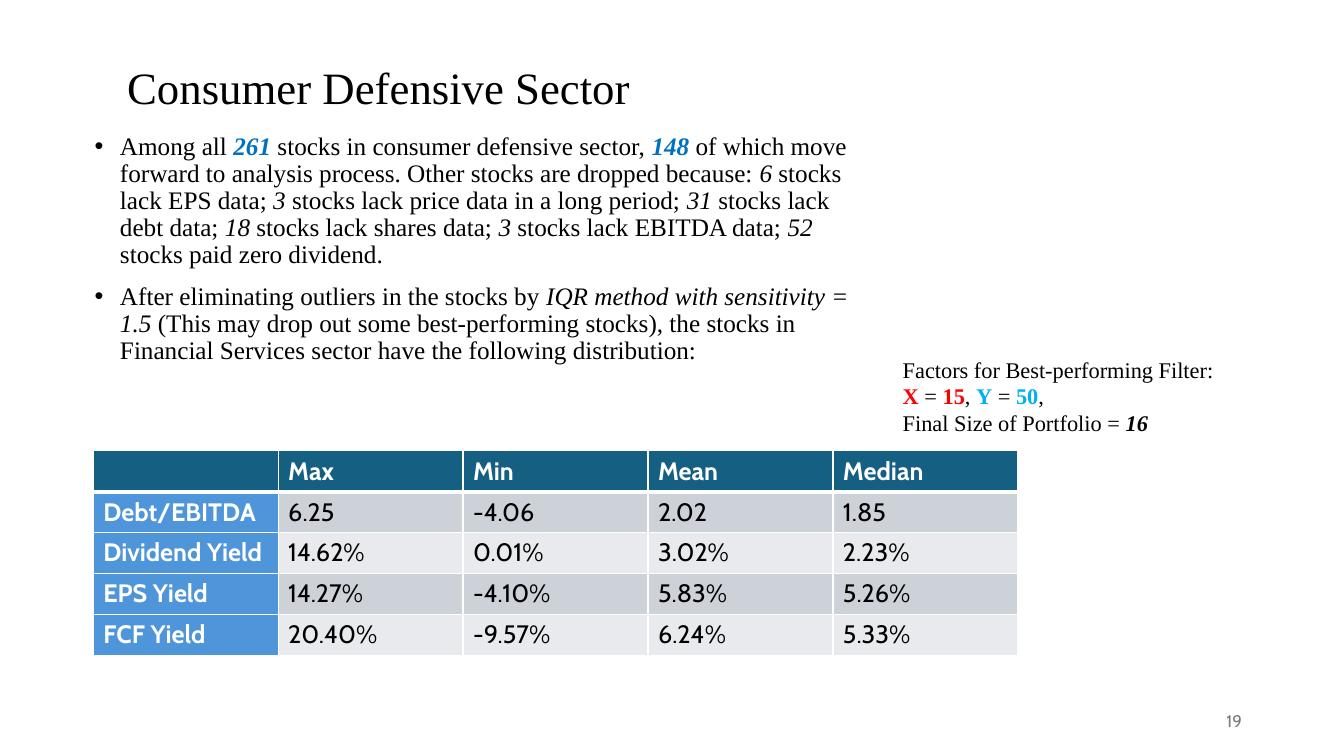
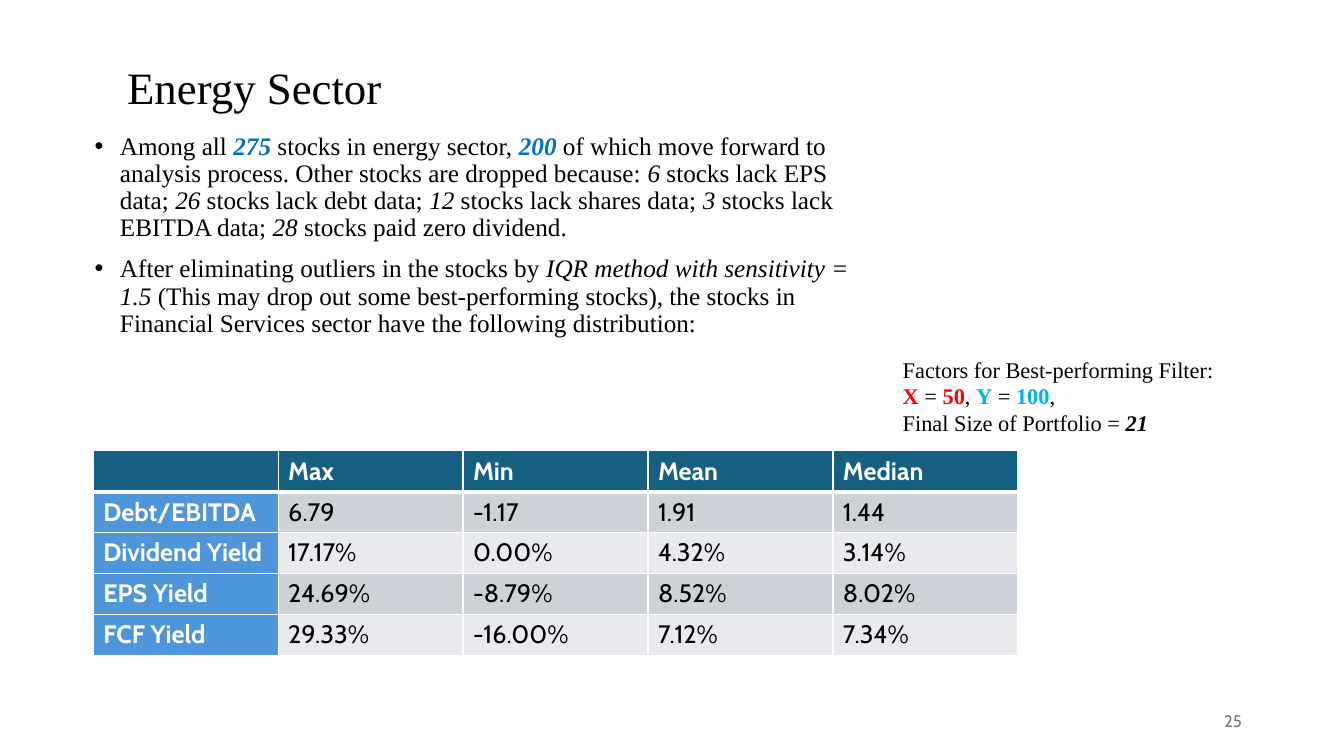
import pptx
import pptx.dml.color
import pptx.enum.text
import pptx.oxml
import pptx.oxml.ns
import pptx.util

Cm = pptx.util.Cm
Pt = pptx.util.Pt

COLORS = {
    "text": "000000",
    "white": "FFFFFF",
    "count": "0070C0",
    "x": "FF0000",
    "y": "00B0F0",
    "header": "156082",
    "label": "4E95D9",
    "band_dark": "CCD2D8",
    "band_light": "E8EAED",
    "page": "797979",
}
SERIF = "Times New Roman"
SANS = "Cabin"

# Run styles: colour, bold, italic
STYLES = {
    "plain": ("text", False, False),
    "italic": ("text", False, True),
    "strong": ("text", True, True),
    "count": ("count", True, True),
    "x": ("x", True, False),
    "y": ("y", True, False),
}

# Boxes in centimetres: left, top, width, height
BODY_BOX = (2.13, 3.23, 19.63, 7.49)
TABLE_BOX = (2.35, 11.36, 23.3, 5.13)
FACTORS_BOX = (22.5, 8.84, 9.04, 2.31)
PAGE_BOX = (23.93, 17.65, 7.62, 1.02)

COLUMNS = ["", "Max", "Min", "Mean", "Median"]
ROW_LABELS = ["Debt/EBITDA", "Dividend Yield", "EPS Yield", "FCF Yield"]

SECTORS = [
    {
        "title": "Consumer Defensive Sector",
        "title_width": 15.88,
        "name": "consumer defensive",
        "page": "19",
        "stocks": "261",
        "kept": "148",
        "dropped": [
            ("6", "lack EPS data"),
            ("3", "lack price data in a long period"),
            ("31", "lack debt data"),
            ("18", "lack shares data"),
            ("3", "lack EBITDA data"),
            ("52", "paid zero dividend"),
        ],
        "x": "15", "y": "50", "size": "16",
        "values": [
            ["6.25", "-4.06", "2.02", "1.85"],
            ["14.62%", "0.01%", "3.02%", "2.23%"],
            ["14.27%", "-4.10%", "5.83%", "5.26%"],
            ["20.40%", "-9.57%", "6.24%", "5.33%"],
        ],
    },
    {
        "title": "Energy Sector",
        "title_width": 12.45,
        "name": "energy",
        "page": "25",
        "stocks": "275",
        "kept": "200",
        "dropped": [
            ("6", "lack EPS data"),
            ("26", "lack debt data"),
            ("12", "lack shares data"),
            ("3", "lack EBITDA data"),
            ("28", "paid zero dividend"),
        ],
        "x": "50", "y": "100", "size": "21",
        "values": [
            ["6.79", "-1.17", "1.91", "1.44"],
            ["17.17%", "0.00%", "4.32%", "3.14%"],
            ["24.69%", "-8.79%", "8.52%", "8.02%"],
            ["29.33%", "-16.00%", "7.12%", "7.34%"],
        ],
    },
]


def rgb(name):
    return pptx.dml.color.RGBColor.from_string(COLORS[name])


def set_font(font, name, size, color=None, bold=None):
    font.name = name
    font.size = Pt(size)
    if color:
        font.color.rgb = rgb(color)
    if bold is not None:
        font.bold = bold


def place(shape, box):
    shape.left, shape.top, shape.width, shape.height = map(Cm, box)


def prepare_frame(shape, anchor=pptx.enum.text.MSO_ANCHOR.TOP):
    frame = shape.text_frame
    frame.word_wrap = True
    frame.auto_size = pptx.enum.text.MSO_AUTO_SIZE.NONE
    frame.vertical_anchor = anchor
    return frame


def add_paragraphs(frame, paragraphs, size):
    """Fill the frame with paragraphs given as lists of (text, style)."""
    for index, pieces in enumerate(paragraphs):
        paragraph = frame.add_paragraph() if index else frame.paragraphs[0]
        set_font(paragraph.font, SERIF, size)
        for text, style in pieces:
            color, bold, italic = STYLES[style]
            run = paragraph.add_run()
            run.text = text
            run.font.color.rgb = rgb(color)
            run.font.bold = bold
            run.font.italic = italic


def add_title(slide, text, box):
    title = slide.shapes.title
    place(title, box)
    frame = prepare_frame(title, pptx.enum.text.MSO_ANCHOR.MIDDLE)
    frame.text = text
    paragraph = frame.paragraphs[0]
    paragraph.alignment = pptx.enum.text.PP_ALIGN.LEFT
    paragraph.line_spacing = 0.9
    set_font(paragraph.font, SERIF, 32, "text")


def add_body(slide, sector, box):
    body = slide.placeholders[1]
    place(body, box)
    selection = [
        ("Among all ", "plain"),
        (sector["stocks"], "count"),
        (f" stocks in {sector['name']} sector, ", "plain"),
        (sector["kept"], "count"),
        (" of which move forward to analysis process. "
         "Other stocks are dropped because: ", "plain"),
    ]
    last = len(sector["dropped"]) - 1
    for index, (count, reason) in enumerate(sector["dropped"]):
        ending = "." if index == last else "; "
        selection += [(count, "italic"), (f" stocks {reason}{ending}", "plain")]
    outliers = [
        ("After eliminating outliers in the stocks by ", "plain"),
        ("IQR method with sensitivity = 1.5 ", "italic"),
        ("(This may drop out some best-performing stocks), the stocks in "
         "Financial Services sector have the following distribution:", "plain"),
    ]
    frame = prepare_frame(body)
    add_paragraphs(frame, [selection, outliers], 18)
    for index, paragraph in enumerate(frame.paragraphs):
        paragraph.line_spacing = 0.9
        paragraph.space_before = Pt(10 if index else 0)
        properties = paragraph._p.get_or_add_pPr()
        properties.set("marL", str(Cm(0.64)))
        properties.set("indent", str(-Cm(0.64)))


def set_borders(cell, widths):
    """Draw white cell borders; widths maps each side to points."""
    properties = cell._tc.get_or_add_tcPr()
    namespace = pptx.oxml.ns.nsdecls("a")
    for index, side in enumerate("LRTB"):
        line = pptx.oxml.parse_xml(
            f'<a:ln{side} {namespace} w="{Pt(widths[side])}"><a:solidFill>'
            f'<a:srgbClr val="{COLORS["white"]}"/></a:solidFill></a:ln{side}>')
        properties.insert(index, line)


def cell_look(row, column):
    """Return fill, text colour and bold for a table position."""
    if row == 0:
        return "header", "white", True
    if column == 0:
        return "label", "white", True
    return ("band_dark" if row % 2 else "band_light"), "text", False


def add_distribution_table(slide, values, box):
    rows = [COLUMNS] + [[label] + line for label, line in zip(ROW_LABELS, values)]
    table = slide.shapes.add_table(len(rows), len(COLUMNS), *map(Cm, box)).table
    table.horz_banding = False
    for row, texts in enumerate(rows):
        for column, text in enumerate(texts):
            cell = table.cell(row, column)
            fill, color, bold = cell_look(row, column)
            cell.fill.solid()
            cell.fill.fore_color.rgb = rgb(fill)
            cell.text = text
            set_font(cell.text_frame.paragraphs[0].font, SANS, 18, color, bold)
            set_borders(cell, {"L": 1, "R": 1,
                               "T": 3 if row == 1 else 1,
                               "B": 3 if row == 0 else 1})


def add_factors(slide, sector, box):
    frame = prepare_frame(slide.shapes.add_textbox(*map(Cm, box)))
    add_paragraphs(frame, [
        [("Factors for Best-performing Filter:", "plain")],
        [("X", "x"), (" = ", "plain"), (sector["x"], "x"), (", ", "plain"),
         ("Y", "y"), (" = ", "plain"), (sector["y"], "y"), (",", "plain")],
        [("Final Size of Portfolio = ", "plain"), (sector["size"], "strong")],
    ], 16)


def add_page_number(slide, number, box):
    frame = prepare_frame(slide.shapes.add_textbox(*map(Cm, box)),
                          pptx.enum.text.MSO_ANCHOR.MIDDLE)
    frame.text = number
    paragraph = frame.paragraphs[0]
    paragraph.alignment = pptx.enum.text.PP_ALIGN.RIGHT
    set_font(paragraph.font, SANS, 12, "page")


def add_sector_slide(presentation, sector):
    slide = presentation.slides.add_slide(presentation.slide_layouts[1])
    add_title(slide, sector["title"], (2.95, 0.38, sector["title_width"], 3.76))
    add_body(slide, sector, BODY_BOX)
    add_distribution_table(slide, sector["values"], TABLE_BOX)
    add_factors(slide, sector, FACTORS_BOX)
    add_page_number(slide, sector["page"], PAGE_BOX)


def main():
    presentation = pptx.Presentation()
    presentation.slide_width = Cm(33.87)
    presentation.slide_height = Cm(19.05)
    for sector in SECTORS:
        add_sector_slide(presentation, sector)
    presentation.save("out.pptx")


if __name__ == "__main__":
    main()
